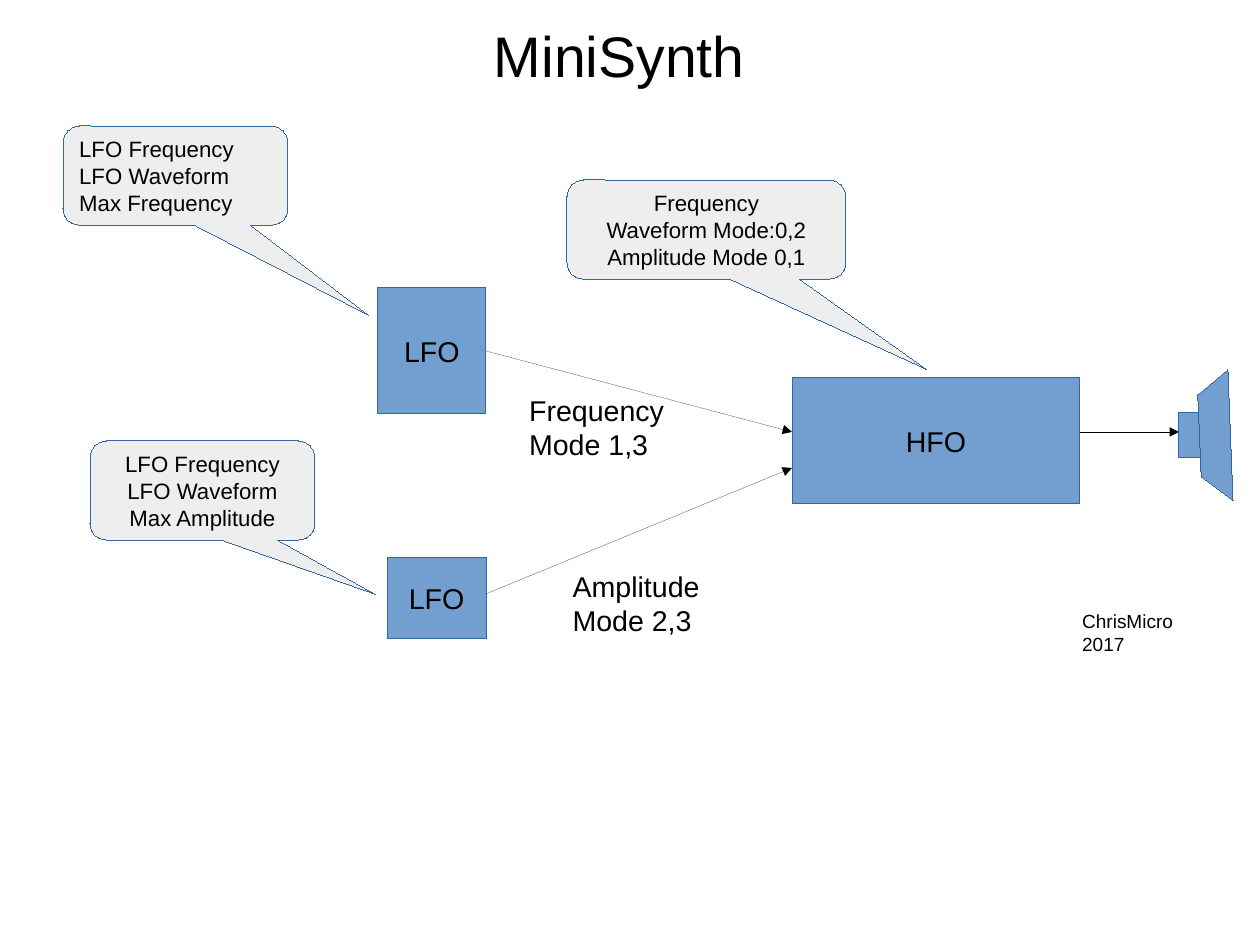
from lxml.etree import SubElement
from pptx import Presentation
from pptx.dml.color import RGBColor
from pptx.enum.shapes import MSO_CONNECTOR, MSO_SHAPE
from pptx.enum.text import MSO_ANCHOR, MSO_AUTO_SIZE, PP_ALIGN
from pptx.oxml.ns import qn
from pptx.util import Pt

BLUE = RGBColor(0x72, 0x9F, 0xCF)
GREY = RGBColor(0xEE, 0xEE, 0xEE)
OUTLINE = RGBColor(0x34, 0x65, 0xA4)
BLACK = RGBColor(0, 0, 0)
FONT = "Arial"
HAIRLINE = Pt(0.01)  # a width of 0 would fall back to the theme's width


def write(tf, lines, size, align):
    for i, line in enumerate(lines):
        p = tf.paragraphs[0] if i == 0 else tf.add_paragraph()
        p.text = line
        p.alignment = align
        p.font.name = FONT
        p.font.size = Pt(size)
        p.font.color.rgb = BLACK


def paint(sp, fill):
    sp.shadow.inherit = False
    sp.fill.solid()
    sp.fill.fore_color.rgb = fill
    sp.line.color.rgb = OUTLINE
    sp.line.width = HAIRLINE


def add_block(s, box, lines=(), size=18, kind=MSO_SHAPE.RECTANGLE,
              fill=BLUE, align=PP_ALIGN.CENTER):
    sp = s.shapes.add_shape(kind, *map(Pt, box))
    paint(sp, fill)
    sp.text_frame.vertical_anchor = MSO_ANCHOR.MIDDLE
    write(sp.text_frame, lines, size, align)
    return sp


def add_callout(s, box, tip, lines, align=PP_ALIGN.CENTER):
    sp = add_block(s, box, lines, 14, MSO_SHAPE.ROUNDED_RECTANGULAR_CALLOUT,
                   GREY, align)
    # The tip is given as a share of the size, measured from the centre
    left, top, width, height = box
    sp.adjustments[0] = (tip[0] - left) / width - 0.5
    sp.adjustments[1] = (tip[1] - top) / height - 0.5
    sp.adjustments[2] = 0.167


def add_label(s, box, lines, size=18):
    tf = s.shapes.add_textbox(*map(Pt, box)).text_frame
    tf.word_wrap = True
    tf.auto_size = MSO_AUTO_SIZE.SHAPE_TO_FIT_TEXT
    write(tf, lines, size, PP_ALIGN.LEFT)


def add_arrow(s, start, end):
    c = s.shapes.add_connector(MSO_CONNECTOR.STRAIGHT, *map(Pt, start + end))
    c.line.color.rgb = BLACK
    c.line.width = HAIRLINE
    SubElement(c._element.spPr.find(qn("a:ln")), qn("a:tailEnd"),
               type="triangle")
    SubElement(c._element.spPr, qn("a:effectLst"))


def add_speaker(s):
    add_block(s, (742.7, 260.2, 17, 28.3))
    cone = [(773.5, 232.9), (776.7, 315.2), (756.7, 300.2), (754.5, 248.8)]
    points = [(Pt(x), Pt(y)) for x, y in cone]
    fb = s.shapes.build_freeform(*points[0])
    fb.add_line_segments(points[1:], close=True)
    paint(fb.convert_to_shape(), BLUE)


def main():
    prs = Presentation()
    prs.slide_width, prs.slide_height = Pt(793.7), Pt(595.3)
    s = prs.slides.add_slide(prs.slide_layouts[6])

    add_label(s, (304, 9.4, 180, 47.5), ["MiniSynth"], 36)

    # Oscillators
    add_block(s, (238, 181.4, 68, 79.4), ["LFO"])
    add_block(s, (243.8, 351.5, 62.4, 51), ["LFO"])
    add_block(s, (498.9, 238.1, 181.4, 79.4), ["HFO"])

    # Signal paths
    add_arrow(s, (306, 221.1), (498.9, 272.1))
    add_arrow(s, (306, 374.2), (498.9, 294.8))
    add_arrow(s, (680.3, 272.1), (742.7, 272.1))

    # Parameters of each oscillator
    add_callout(s, (39.7, 79.4, 141.7, 62.4), (232.4, 198.7),
                ["LFO Frequency", "LFO Waveform", "Max Frequency"],
                PP_ALIGN.LEFT)
    add_callout(s, (56.7, 277.8, 141.7, 62.4), (236.3, 374.3),
                ["LFO Frequency", "LFO Waveform", "Max Amplitude"])
    add_callout(s, (357.2, 113.4, 175.7, 62.4), (583.8, 232.7),
                ["Frequency", "Waveform Mode:0,2", "Amplitude Mode 0,1"])

    add_speaker(s)

    # Modulation modes and author
    add_label(s, (353.6, 355, 102, 47.5), ["Amplitude", "Mode 2,3"])
    add_label(s, (326.2, 244.1, 107, 47.5), ["Frequency", "Mode 1,3"])
    add_label(s, (674.6, 380.2, 79, 33.8), ["ChrisMicro", "2017"], 12)

    prs.save("out.pptx")


main()
